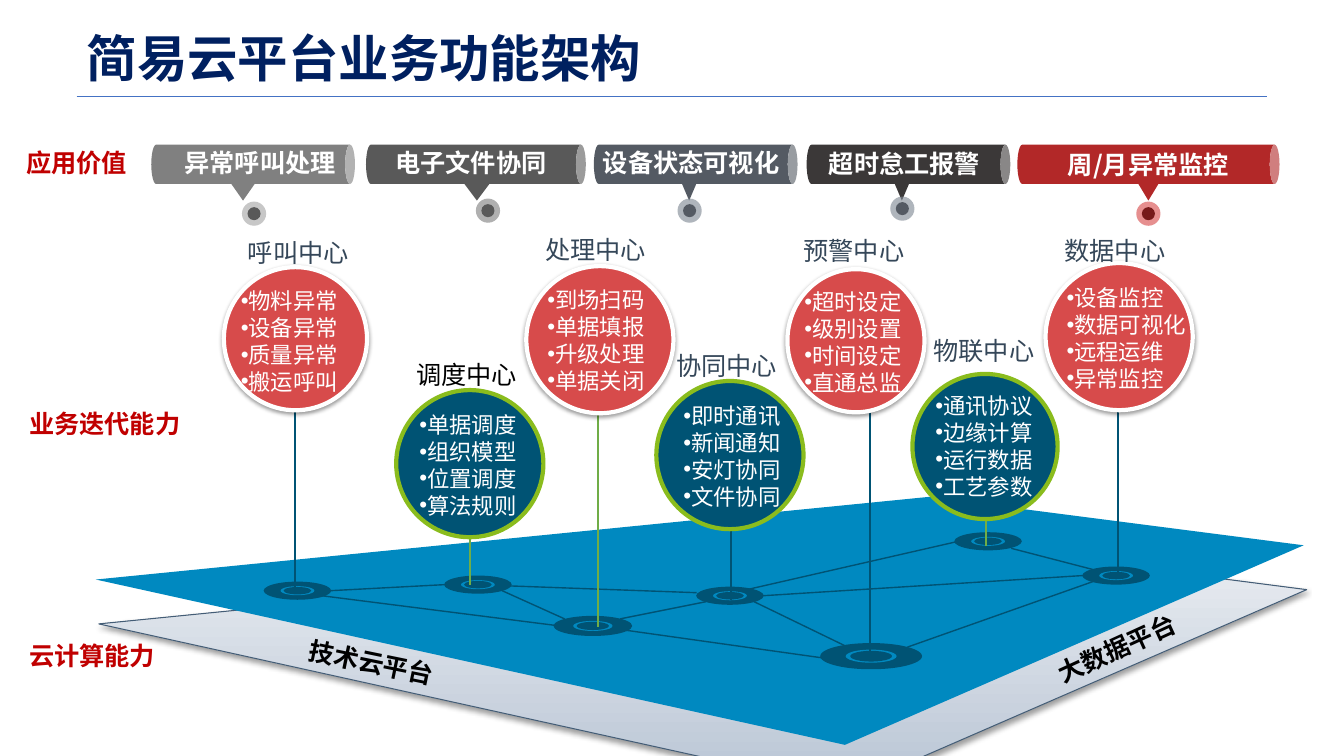
import pptx
import pptx.util
import pptx.dml.color
import pptx.enum.shapes
import pptx.enum.text
import pptx.oxml
import pptx.oxml.ns
from lxml import etree

Inches = pptx.util.Inches
Pt = pptx.util.Pt
RGBColor = pptx.dml.color.RGBColor
Shape = pptx.enum.shapes.MSO_SHAPE
Align = pptx.enum.text.PP_ALIGN
AutoSize = pptx.enum.text.MSO_AUTO_SIZE
qn = pptx.oxml.ns.qn

NAVY = RGBColor(0x00, 0x20, 0x60)
RULE_BLUE = RGBColor(0x44, 0x72, 0xC4)
PLATE = RGBColor(0x00, 0x89, 0xC0)
DEEP = RGBColor(0x00, 0x53, 0x74)
SLATE = RGBColor(0x35, 0x47, 0x59)
EDGE = RGBColor(0x44, 0x5D, 0x76)
BASE_DARK = RGBColor(0xB8, 0xC4, 0xD4)
BASE_LIGHT = RGBColor(0xEC, 0xEF, 0xF3)
GREEN = RGBColor(0x70, 0xAD, 0x47)
LIME = RGBColor(0x8A, 0xBC, 0x1D)
RED = RGBColor(0xD7, 0x4B, 0x4B)
DARK_RED = RGBColor(0xC0, 0x00, 0x00)
CRIMSON = RGBColor(0xB2, 0x28, 0x28)
MAROON = RGBColor(0x77, 0x1A, 0x1A)
GRAY = RGBColor(0x80, 0x80, 0x80)
LIGHT_GRAY = RGBColor(0xA6, 0xA6, 0xA6)
DARK_GRAY = RGBColor(0x59, 0x59, 0x59)
STEEL = RGBColor(0x54, 0x5A, 0x63)
LIGHT_STEEL = RGBColor(0x7F, 0x88, 0x93)
CHARCOAL = RGBColor(0x3B, 0x38, 0x38)
WHITE = RGBColor(0xFF, 0xFF, 0xFF)
BLACK = RGBColor(0x00, 0x00, 0x00)

# text, label (left, top, width), can (centre x, length), pointer (left, width),
# dot (left, top), can colour, halo colour, dot colour
VALUES = [
    ("异常呼叫处理", (1.4, 1.41, 2.36), (2.51, 2.02), (2.27, 0.28), (2.4, 2), GRAY, LIGHT_GRAY, DARK_GRAY),
    ("电子文件协同", (3.55, 1.41, 2.24), (4.72, 2.18), (4.58, 0.3), (4.72, 1.97), DARK_GRAY, GRAY, DARK_GRAY),
    ("设备状态可视化", (5.86, 1.41, 1.99), (6.9, 2.02), (6.75, 0.17), (6.72, 1.97), STEEL, LIGHT_STEEL, STEEL),
    ("超时怠工报警", (7.91, 1.42, 2.12), (9.01, 2.02), (8.86, 0.17), (8.83, 1.95), CHARCOAL, LIGHT_STEEL, STEEL),
    ("周/月异常监控", (10.21, 1.43, 2.36), (11.39, 2.6), (11.27, 0.24), (11.27, 2), CRIMSON, RED, MAROON),
]

# name, name (left, top), circle box, list (left, top, width), stem (x, bottom), stem colour, items
RED_CENTRES = [
    ("呼叫中心", (2.36, 2.31), (2.22, 2.65, 1.42, 1.42), (2.29, 2.8, 1.18), (2.93, 5.86), DEEP,
     ["物料异常", "设备异常", "质量异常", "搬运呼叫"]),
    ("数据中心", (10.46, 2.29), (10.37, 2.61, 1.46, 1.46), (10.48, 2.77, 1.4), (11.09, 5.71), DEEP,
     ["设备监控", "数据可视化", "远程运维", "异常监控"]),
    ("预警中心", (7.87, 2.29), (7.81, 2.67, 1.36, 1.42), (7.88, 2.81, 1.39), (8.63, 6.52), DEEP,
     ["超时设定", "级别设置", "时间设定", "直通总监"]),
    ("处理中心", (5.31, 2.28), (5.22, 2.64, 1.46, 1.46), (5.33, 2.79, 1.18), (5.93, 6.22), GREEN,
     ["到场扫码", "单据填报", "升级处理", "单据关闭"]),
]
BLUE_CENTRES = [
    ("调度中心", (4.03, 3.52), (3.93, 3.87, 1.46, 1.46), (4.06, 4.03, 1.18), (4.66, 5.8), GREEN,
     ["单据调度", "组织模型", "位置调度", "算法规则"]),
    ("协同中心", (6.61, 3.43), (6.51, 3.78, 1.46, 1.47), (6.68, 3.94, 1.18), (7.25, 5.95), DEEP,
     ["即时通讯", "新闻通知", "安灯协同", "文件协同"]),
    ("物联中心", (9.16, 3.28), (9.05, 3.71, 1.44, 1.44), (9.18, 3.84, 1.18), (9.78, 5.42), GREEN,
     ["通讯协议", "边缘计算", "运行数据", "工艺参数"]),
]

# centre x, centre y, width, height
NODES = [(2.95, 5.86, 0.67, 0.18), (4.74, 5.8, 0.67, 0.18), (5.88, 6.21, 0.78, 0.2),
         (7.24, 5.91, 0.67, 0.18), (8.64, 6.51, 1.01, 0.26), (9.8, 5.37, 0.67, 0.18),
         (11.07, 5.71, 0.67, 0.18)]
NETWORK = [(3.28, 5.86, 4.41, 5.8), (4.98, 5.86, 5.6, 6.14), (6.15, 6.14, 7, 5.97),
           (7.48, 5.97, 8.45, 6.44), (9, 6.42, 10.84, 5.77), (10.84, 5.65, 10.03, 5.44),
           (7.57, 5.91, 10.74, 5.71), (6.19, 6.25, 8.25, 6.54), (4.98, 5.81, 6.91, 5.88),
           (3.19, 5.91, 5.63, 6.22), (7.32, 5.87, 9.55, 5.36)]


class ArchitectureSlide:
    heading_font = "Noto Sans CJK SC"
    list_font = "Calibri"

    def __init__(self, presentation):
        self.slide = presentation.slides.add_slide(presentation.slide_layouts[5])
        self.shapes = self.slide.shapes

    def style(self, paragraph, size, color, bold=False, font_name=heading_font):
        font = paragraph.font
        font.size, font.bold, font.name = Pt(size), bold, font_name
        font.color.rgb = color
        properties = paragraph._p.pPr.find(qn("a:defRPr"))
        etree.SubElement(properties, qn("a:ea")).set("typeface", font_name)

    def title(self, text):
        title = self.shapes.title
        title.left, title.top, title.width, title.height = map(Inches, (0.76, 0.14, 11.5, 0.93))
        frame = title.text_frame
        frame.text = text
        frame.auto_size = AutoSize.NONE
        frame.vertical_anchor = pptx.enum.text.MSO_ANCHOR.MIDDLE
        paragraph = frame.paragraphs[0]
        paragraph.alignment, paragraph.line_spacing = Align.LEFT, 0.9
        self.style(paragraph, 36, NAVY, True)

    def line(self, x1, y1, x2, y2, color, width):
        connector = self.shapes.add_connector(
            pptx.enum.shapes.MSO_CONNECTOR.STRAIGHT, *map(Inches, (x1, y1, x2, y2)))
        connector.line.color.rgb, connector.line.width = color, Pt(width)
        etree.SubElement(connector._element.spPr, qn("a:effectLst"))

    def finish(self, shape, fill=None, line=None, line_width=0, shadow=False):
        if fill is not None:
            shape.fill.solid()
            shape.fill.fore_color.rgb = fill
        if line is None:
            shape.line.fill.background()
        else:
            shape.line.color.rgb, shape.line.width = line, Pt(line_width)
        shape.shadow.inherit = False
        if shadow:
            shape._element.spPr.find(qn("a:effectLst")).append(pptx.oxml.parse_xml(
                '<a:outerShdw xmlns:a="http://schemas.openxmlformats.org/drawingml/2006/main"'
                ' blurRad="39370" dist="20320" dir="5400000" rotWithShape="0">'
                '<a:srgbClr val="000000"><a:alpha val="38000"/></a:srgbClr></a:outerShdw>'))
        return shape

    def preset(self, kind, box, fill, rotation=0, **style):
        shape = self.shapes.add_shape(kind, *map(Inches, box))
        shape.rotation = rotation
        return self.finish(shape, fill, **style)

    def ellipse(self, x, y, width, height, fill):
        """Draw an ellipse around the centre x, y."""
        return self.preset(Shape.OVAL, (x - width / 2, y - height / 2, width, height), fill)

    def plate(self, points, **style):
        corners = [(Inches(x), Inches(y)) for x, y in points]
        builder = self.shapes.build_freeform(*corners[0])
        builder.add_line_segments(corners[1:], close=True)
        return self.finish(builder.convert_to_shape(), **style)

    def label(self, text, left, top, width, color, bold=True, centered=False, rotation=0):
        box = self.shapes.add_textbox(*map(Inches, (left, top, width, 0.4)))
        box.rotation = rotation
        box.text_frame.word_wrap = centered
        box.text_frame.text = text
        paragraph = box.text_frame.paragraphs[0]
        paragraph.alignment = Align.CENTER if centered else Align.LEFT
        self.style(paragraph, 18, color, bold)

    def bullets(self, items, left, top, width):
        box = self.shapes.add_textbox(*map(Inches, (left, top, width, 1.18)))
        box.text_frame.word_wrap = False
        box.text_frame.text = "\n".join(items)
        for paragraph in box.text_frame.paragraphs:
            properties = paragraph._p.get_or_add_pPr()
            etree.SubElement(properties, qn("a:buFont")).set("typeface", "Arial")
            etree.SubElement(properties, qn("a:buChar")).set("char", "•")
            self.style(paragraph, 16, WHITE, font_name=self.list_font)

    def node(self, x, y, width, height):
        for scale, color in ((1, DEEP), (0.5, PLATE), (0.41, DEEP)):
            self.ellipse(x, y, width * scale, height * scale, color)

    def centre(self, circle, bullet_box, stem, stem_color, items, fill, ring, shadow):
        left, top, width, height = circle
        stem_x, stem_bottom = stem
        self.line(stem_x, stem_bottom, stem_x, top + height / 2, stem_color, 1.5)
        self.preset(Shape.OVAL, circle, fill, line=ring, line_width=3, shadow=shadow)
        self.bullets(items, *bullet_box)

    def value(self, text, label_box, can, pointer, dot, color, halo_color, dot_color):
        can_x, can_length = can
        self.preset(Shape.CAN, (can_x - 0.195, 1.63 - can_length / 2, 0.39, can_length), color, 90)
        self.preset(Shape.ISOSCELES_TRIANGLE, (pointer[0], 1.79, pointer[1], 0.2), color, 180)
        self.label(text, *label_box, WHITE, centered=True)
        dot_x, dot_y = dot[0] + 0.12, dot[1] + 0.12
        halo = self.ellipse(dot_x, dot_y, 0.24, 0.24, halo_color)
        halo_fill = halo._element.spPr.find(qn("a:solidFill"))
        etree.SubElement(halo_fill[0], qn("a:alpha")).set("val", "62000")
        self.ellipse(dot_x, dot_y, 0.13, 0.13, dot_color)


def main():
    presentation = pptx.Presentation()
    presentation.slide_width, presentation.slide_height = Inches(13.33), Inches(7.5)
    page = ArchitectureSlide(presentation)
    page.title("简易云平台业务功能架构")
    page.line(0.76, 0.96, 12.57, 0.96, RULE_BLUE, 0.5)

    corners = [(0.95, 5.75), (9.21, 4.93), (12.93, 5.41), (8.38, 7.39)]
    base = page.plate([(x + 0.03, y + 0.44) for x, y in corners],
                      line=EDGE, line_width=0.75, shadow=True)
    base.fill.gradient()
    base.fill.gradient_angle = 90
    for stop, color in zip(base.fill.gradient_stops, (BASE_DARK, BASE_LIGHT)):
        stop.color.rgb = color
    page.plate(corners, fill=PLATE)
    for node in NODES:
        page.node(*node)
    for link in NETWORK:
        page.line(*link, DEEP, 1)

    for centres, look in ((BLUE_CENTRES, (DEEP, LIME, False)), (RED_CENTRES, (RED, WHITE, True))):
        for name, name_at, *parts in centres:
            page.centre(*parts, *look)
    for name, name_at, *parts in RED_CENTRES + BLUE_CENTRES:
        page.label(name, *name_at, 1.21, BLACK if name == "调度中心" else SLATE, bold=False)
    for value in VALUES:
        page.value(*value)

    page.label("技术云平台", 2.96, 6.37, 1.47, BLACK, rotation=11.6)
    page.label("大数据平台", 10.35, 6.23, 1.47, BLACK, rotation=335.4)
    page.label("应用价值", 0.16, 1.41, 1.21, DARK_RED)
    page.label("业务迭代能力", 0.19, 4, 1.72, DARK_RED)
    page.label("云计算能力", 0.19, 6.3, 1.46, DARK_RED)
    presentation.save("out.pptx")


if __name__ == "__main__":
    main()
